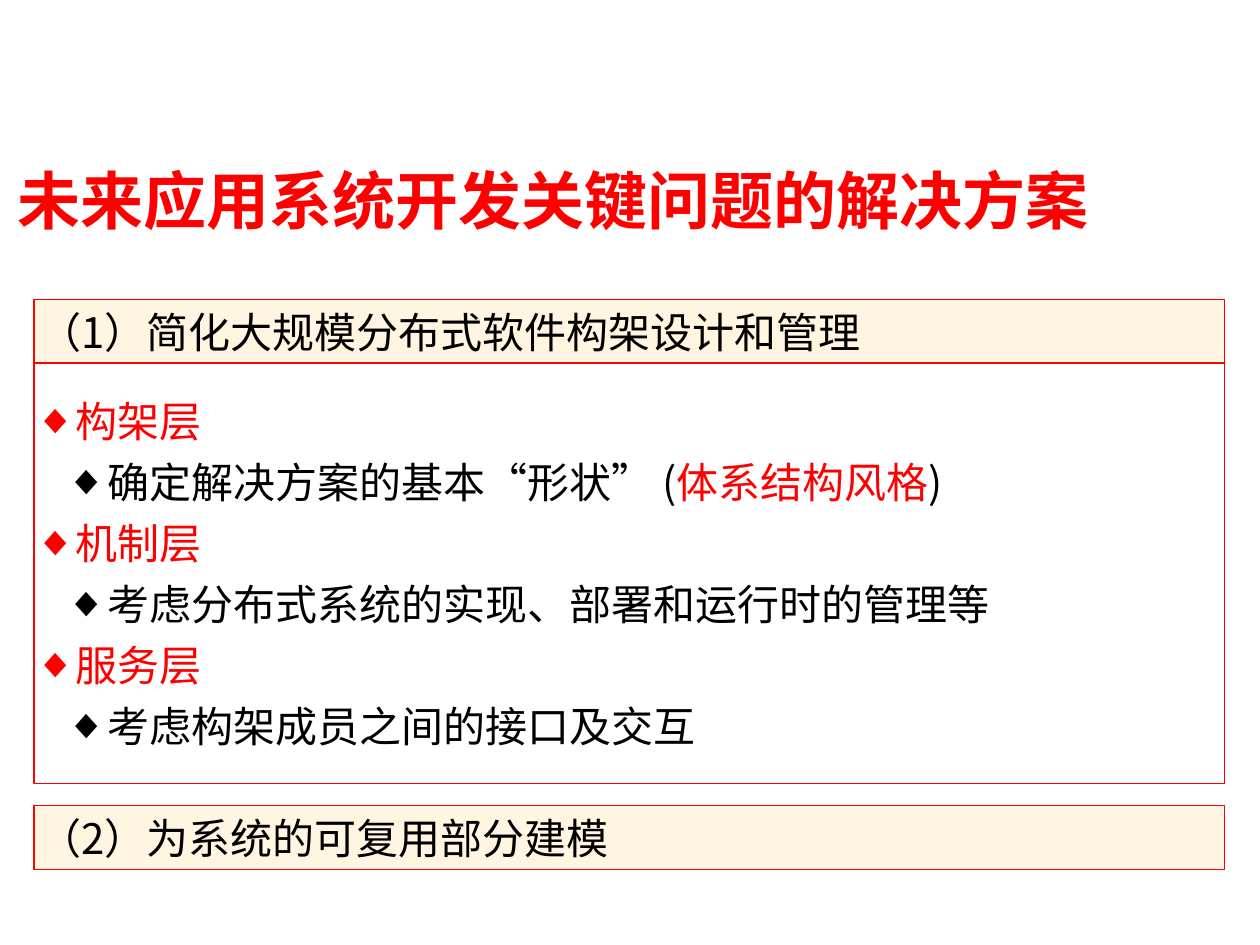
from lxml import etree
from pptx import Presentation
from pptx.dml.color import RGBColor
from pptx.enum import shapes, text
from pptx.oxml import ns
from pptx.util import Inches, Pt

COLORS = {"red": "FF0000", "black": "000000", "cream": "FFF5E0", "white": "FFFFFF"}
CJK_FONT = "Noto Sans CJK SC"
LEFT, WIDTH = 0.27, 9.45

LAYERS = [
    ("构架层", [("确定解决方案的基本“形状” (", "black"), ("体系结构风格", "red"), (")", "black")]),
    ("机制层", [("考虑分布式系统的实现、部署和运行时的管理等", "black")]),
    ("服务层", [("考虑构架成员之间的接口及交互", "black")]),
]


def color(name):
    return RGBColor.from_string(COLORS[name])


def add_span(para, wording, *, size=24, ink="black", font=CJK_FONT, bold=False):
    span = para.add_run()
    span.text = wording
    span.font.size = Pt(size)
    span.font.bold = bold
    span.font.color.rgb = color(ink)
    span.font.name = font
    east_asian = etree.SubElement(span.font._element, ns.qn("a:ea"))
    east_asian.set("typeface", CJK_FONT)


def add_bullet(para, ink, margin, indent):
    props = para._p.get_or_add_pPr()
    props.set("marL", str(Inches(margin)))
    props.set("indent", str(Inches(indent)))
    bullet_color = etree.SubElement(props, ns.qn("a:buClr"))
    etree.SubElement(bullet_color, ns.qn("a:srgbClr")).set("val", COLORS[ink])
    etree.SubElement(props, ns.qn("a:buChar")).set("char", "◆")


def place(shape, left, top, width, height):
    shape.left, shape.top = Inches(left), Inches(top)
    shape.width, shape.height = Inches(width), Inches(height)


def prepare_frame(shape, side_inset):
    frame = shape.text_frame
    frame.word_wrap = True
    frame.auto_size = text.MSO_AUTO_SIZE.NONE
    frame.vertical_anchor = text.MSO_ANCHOR.MIDDLE
    frame.margin_left = frame.margin_right = Inches(side_inset)
    frame.margin_top = frame.margin_bottom = Inches(0.05)
    frame.paragraphs[0].alignment = text.PP_ALIGN.LEFT
    return frame


def outline(shape, fill):
    shape.fill.solid()
    shape.fill.fore_color.rgb = color(fill)
    shape.line.color.rgb = color("red")
    shape.line.width = Pt(0.75)


def fill_title(title, left, top, width, height):
    place(title, left, top, width, height)
    para = prepare_frame(title, 0.1).paragraphs[0]
    add_span(para, "未来应用系统开发关键问题的解决方案",
             size=36, ink="red", font="Lato", bold=True)


def add_bar(page, wording, left, top, width, height):
    bar = page.shapes.add_shape(shapes.MSO_SHAPE.RECTANGLE, Inches(left), Inches(top),
                                Inches(width), Inches(height))
    bar.shadow.inherit = False
    outline(bar, "cream")
    add_span(prepare_frame(bar, 0.04).paragraphs[0], wording)


def fill_layers(body, left, top, width, height):
    """Alternate each red layer name with its indented explanation."""
    place(body, left, top, width, height)
    outline(body, "white")
    frame = prepare_frame(body, 0)
    for index, (name, details) in enumerate(LAYERS):
        heading = frame.add_paragraph() if index else frame.paragraphs[0]
        heading.space_before = Pt(6 if index else 0)
        add_bullet(heading, "red", 0, 0)
        add_span(heading, name, ink="red")

        detail = frame.add_paragraph()
        detail.level = 1
        detail.space_before = Pt(6)
        add_bullet(detail, "black", 0.5, -0.25)
        for wording, ink in details:
            add_span(detail, wording, ink=ink)


def main():
    deck = Presentation()
    deck.slide_width, deck.slide_height = Inches(10), Inches(7.5)
    page = deck.slides.add_slide(deck.slide_layouts[1])
    fill_title(page.shapes.title, 0.04, 1.23, 8.74, 0.7)
    add_bar(page, "（1）简化大规模分布式软件构架设计和管理", LEFT, 2.38, WIDTH, 0.5)
    fill_layers(page.placeholders[1], LEFT, 2.88, WIDTH, 3.34)
    add_bar(page, "（2）为系统的可复用部分建模", LEFT, 6.39, WIDTH, 0.51)
    deck.save("out.pptx")


if __name__ == "__main__":
    main()
